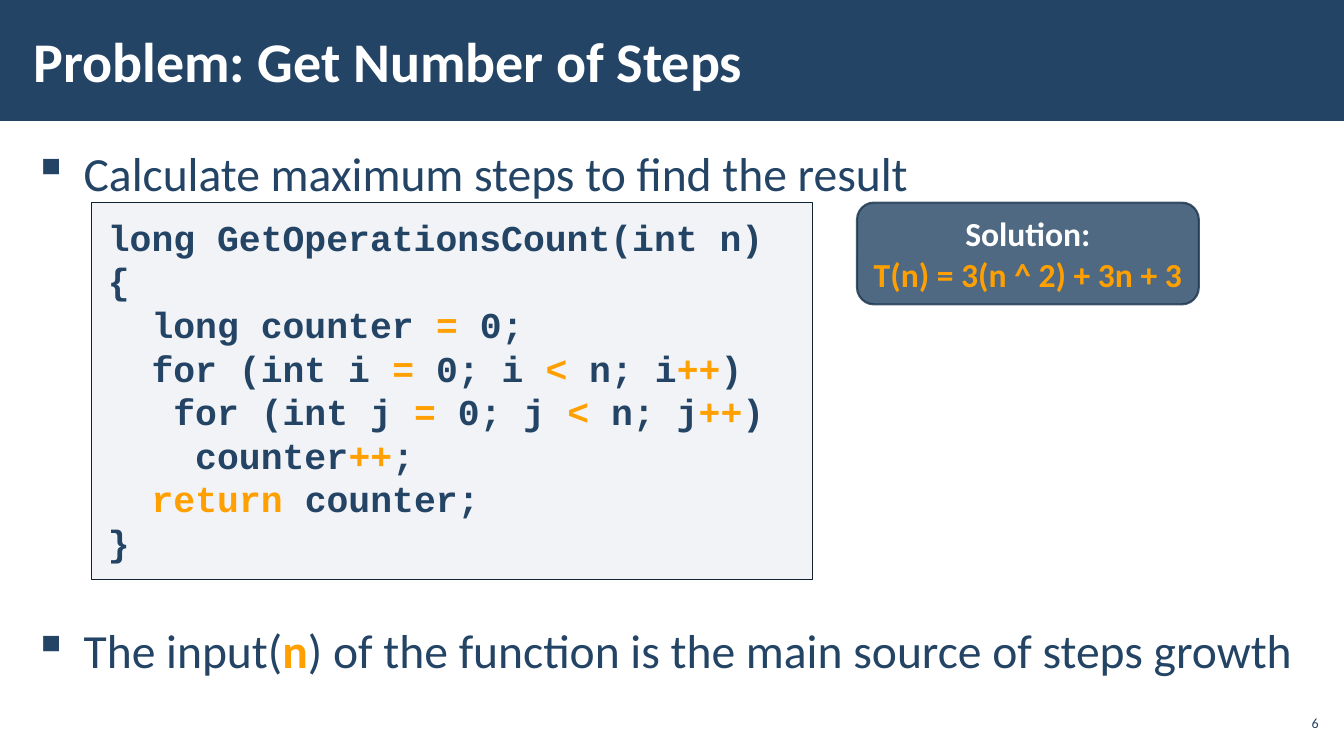
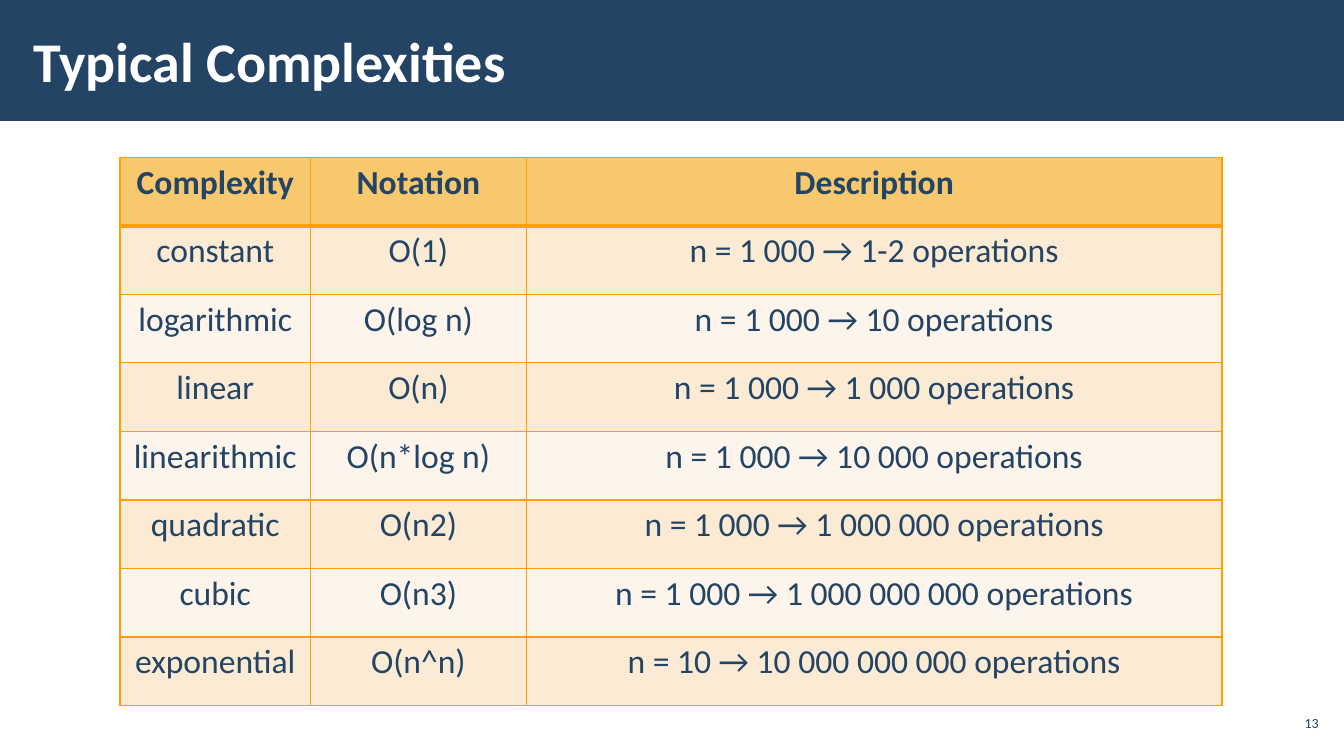
from dataclasses import dataclass

from lxml import etree
from pptx import Presentation
from pptx.dml.color import RGBColor
from pptx.enum.shapes import MSO_SHAPE
from pptx.enum.text import MSO_ANCHOR, MSO_AUTO_SIZE, PP_ALIGN
from pptx.oxml import parse_xml
from pptx.oxml.ns import nsdecls, qn
from pptx.util import Emu, Pt

RECTANGLE, ROUNDED = MSO_SHAPE.RECTANGLE, MSO_SHAPE.ROUNDED_RECTANGLE
TOP, MIDDLE = MSO_ANCHOR.TOP, MSO_ANCHOR.MIDDLE
LEFT, CENTER, RIGHT = PP_ALIGN.LEFT, PP_ALIGN.CENTER, PP_ALIGN.RIGHT
PX = 9144  # EMU: 100 px to the inch


@dataclass(frozen=True)
class Theme:
    navy: str = "234465"
    orange: str = "FFA000"
    white: str = "FFFFFF"
    code_fill: str = "ADB4C3"
    code_line: str = "112233"
    callout_line: str = "1A334C"
    header_fill: str = "F7C86D"
    row_fills: tuple = ("FCEBD4", "FDF5EB")
    text_font: str = "Calibri"
    code_font: str = "Courier New"
    title_size: int = 40
    bullet_size: int = 34
    code_size: int = 26
    label_size: int = 24
    number_size: int = 10


THEME = Theme()
SLIDE_SIZE = (1333, 750)
BAND = (0, 0, 1333, 120)
TITLE = (21, 11, 1040, 97)
NUMBER = (1265, 700, 47, 34)
TEXT_INSETS = (12, 4)
CODE_BOX = (91, 201, 715, 374)
CALLOUT = (850, 201, 339, 101)
BULLET_LEFT, BULLET_WIDTH, BULLET_HEIGHT, BULLET_INDENT = 21, 1292, 75, 50
TABLE_LEFT, TABLE_TOP, ROW_HEIGHT = 119, 156, 68
COLUMN_WIDTHS = (189, 214, 690)

# Text between bars is shown in the accent colour.
STEPS = {
    "title": "Problem: Get Number of Steps",
    "number": 6,
    "bullets": [
        (139, "Calculate maximum steps to find the result"),
        (612, "The input(|n|) of the function is the main source of steps growth"),
    ],
    "code": [
        "long GetOperationsCount(int n)",
        "{",
        "  long counter |=| 0;",
        "  for (int i |=| 0; i |<| n; i|++|)",
        "   for (int j |=| 0; j |<| n; j|++|)",
        "    counter|++|;",
        "  |return| counter;",
        "}",
    ],
    "callout": ["Solution:", "|T(n) = 3(n ^ 2) + 3n + 3|"],
}
COMPLEXITIES = {
    "title": "Typical Complexities",
    "number": 13,
    "rows": [
        ("Complexity", "Notation", "Description"),
        ("constant", "O(1)", "n = 1 000 → 1-2 operations"),
        ("logarithmic", "O(log n)", "n = 1 000 → 10 operations"),
        ("linear", "O(n)", "n = 1 000 → 1 000 operations"),
        ("linearithmic", "O(n*log n)", "n = 1 000 → 10 000 operations"),
        ("quadratic", "O(n2)", "n = 1 000 → 1 000 000 operations"),
        ("cubic", "O(n3)", "n = 1 000 → 1 000 000 000 operations"),
        ("exponential", "O(n^n)", "n = 10 → 10 000 000 000 operations"),
    ],
}


def px(*lengths):
    return [Emu(length * PX) for length in lengths]


def rgb(code):
    return RGBColor.from_string(code)


def style(font, size, color=THEME.navy, bold=False, name=THEME.text_font):
    font.name, font.size, font.bold = name, Pt(size), bold
    font.color.rgb = rgb(color)


def set_frame(frame, insets, anchor):
    horizontal, vertical = px(*insets)
    frame.margin_left = frame.margin_right = horizontal
    frame.margin_top = frame.margin_bottom = vertical
    frame.word_wrap = True
    frame.auto_size = MSO_AUTO_SIZE.NONE
    frame.vertical_anchor = anchor


def write_line(para, text, align, **font):
    """Fill a paragraph, giving the parts between bars the accent colour."""
    para.alignment = align
    style(para.font, **font)
    for index, part in enumerate(text.split("|")):
        if part:
            span = para.add_run()
            span.text = part
            if index % 2:
                span.font.color.rgb = rgb(THEME.orange)
                span.font.bold = True


def write_lines(frame, lines, align, **font):
    for index, line in enumerate(lines):
        para = frame.add_paragraph() if index else frame.paragraphs[0]
        write_line(para, line, align, **font)


def set_alpha(color_format_parent, percent):
    for color in color_format_parent.iter(qn("a:srgbClr")):
        etree.SubElement(color, qn("a:alpha")).set("val", str(percent * 1000))


def add_box(page, kind, place, fill, line=None, line_width=1,
            fill_alpha=100, line_alpha=100):
    box = page.shapes.add_shape(kind, *px(*place))
    box.shadow.inherit = False
    box.fill.solid()
    box.fill.fore_color.rgb = rgb(fill)
    if fill_alpha < 100:
        set_alpha(box.element.spPr.find(qn("a:solidFill")), fill_alpha)
    if line is None:
        box.line.fill.background()
    else:
        box.line.color.rgb = rgb(line)
        box.line.width = Pt(line_width)
        if line_alpha < 100:
            set_alpha(box.element.spPr.find(qn("a:ln")), line_alpha)
    return box


def add_text(page, place, text, insets, anchor, align, size):
    box = page.shapes.add_textbox(*px(*place))
    set_frame(box.text_frame, insets, anchor)
    write_line(box.text_frame.paragraphs[0], text, align, size=size)
    return box


def add_page(deck, content):
    """Add a slide with the shared band, title and number."""
    page = deck.slides.add_slide(deck.slide_layouts[5])
    title = page.shapes.title
    band = add_box(page, RECTANGLE, BAND, THEME.navy)
    title.element.addprevious(band.element)
    title.left, title.top, title.width, title.height = px(*TITLE)
    set_frame(title.text_frame, TEXT_INSETS, MIDDLE)
    write_line(title.text_frame.paragraphs[0], content["title"], LEFT,
               size=THEME.title_size, color=THEME.white, bold=True)
    add_text(page, NUMBER, str(content["number"]), (4, 4), MIDDLE, RIGHT,
             THEME.number_size)
    return page


def add_bullet(page, top, text):
    place = (BULLET_LEFT, top, BULLET_WIDTH, BULLET_HEIGHT)
    box = page.shapes.add_textbox(*px(*place))
    set_frame(box.text_frame, TEXT_INSETS, TOP)
    para = box.text_frame.paragraphs[0]
    properties = para._p.get_or_add_pPr()
    properties.set("marL", str(BULLET_INDENT * PX))
    properties.set("indent", str(-BULLET_INDENT * PX))
    etree.SubElement(properties, qn("a:buChar")).set("char", "▪")
    write_line(para, text, LEFT, size=THEME.bullet_size)


def set_borders(cell, top, bottom):
    """Draw all four sides; top and bottom are widths in points."""
    properties = cell._tc.get_or_add_tcPr()
    widths = {"lnL": 1, "lnR": 1, "lnT": top, "lnB": bottom}
    for index, (side, width) in enumerate(widths.items()):
        properties.insert(index, parse_xml(
            f'<a:{side} {nsdecls("a")} w="{Pt(width)}"><a:solidFill>'
            f'<a:srgbClr val="{THEME.orange}"/></a:solidFill></a:{side}>'))


def add_complexity_table(page, rows):
    place = (TABLE_LEFT, TABLE_TOP, sum(COLUMN_WIDTHS), ROW_HEIGHT * len(rows))
    table = page.shapes.add_table(
        len(rows), len(COLUMN_WIDTHS), *px(*place)).table
    table.horz_banding = False
    for column, width in zip(table.columns, px(*COLUMN_WIDTHS)):
        column.width = width
    for r, row in enumerate(rows):
        header = r == 0
        fill = THEME.header_fill if header else THEME.row_fills[(r - 1) % 2]
        for c, text in enumerate(row):
            cell = table.cell(r, c)
            cell.fill.solid()
            cell.fill.fore_color.rgb = rgb(fill)
            set_borders(cell, top=3 if r == 1 else 1, bottom=3 if header else 1)
            write_line(cell.text_frame.paragraphs[0], text, CENTER,
                       size=THEME.label_size, bold=header)


def build_steps(deck):
    page = add_page(deck, STEPS)
    for top, text in STEPS["bullets"]:
        add_bullet(page, top, text)
    code = add_box(page, RECTANGLE, CODE_BOX, THEME.code_fill,
                   THEME.code_line, fill_alpha=15)
    set_frame(code.text_frame, (16, 12), TOP)
    write_lines(code.text_frame, STEPS["code"], LEFT, size=THEME.code_size,
                bold=True, name=THEME.code_font)
    callout = add_box(page, ROUNDED, CALLOUT, THEME.navy, THEME.callout_line,
                      line_width=1.5, fill_alpha=80, line_alpha=80)
    set_frame(callout.text_frame, (10, 5), MIDDLE)
    write_lines(callout.text_frame, STEPS["callout"], CENTER,
                size=THEME.label_size, color=THEME.white, bold=True)


def build_complexities(deck):
    page = add_page(deck, COMPLEXITIES)
    add_complexity_table(page, COMPLEXITIES["rows"])


def main():
    deck = Presentation()
    deck.slide_width, deck.slide_height = px(*SLIDE_SIZE)
    build_steps(deck)
    build_complexities(deck)
    deck.save("out.pptx")


if __name__ == "__main__":
    main()
